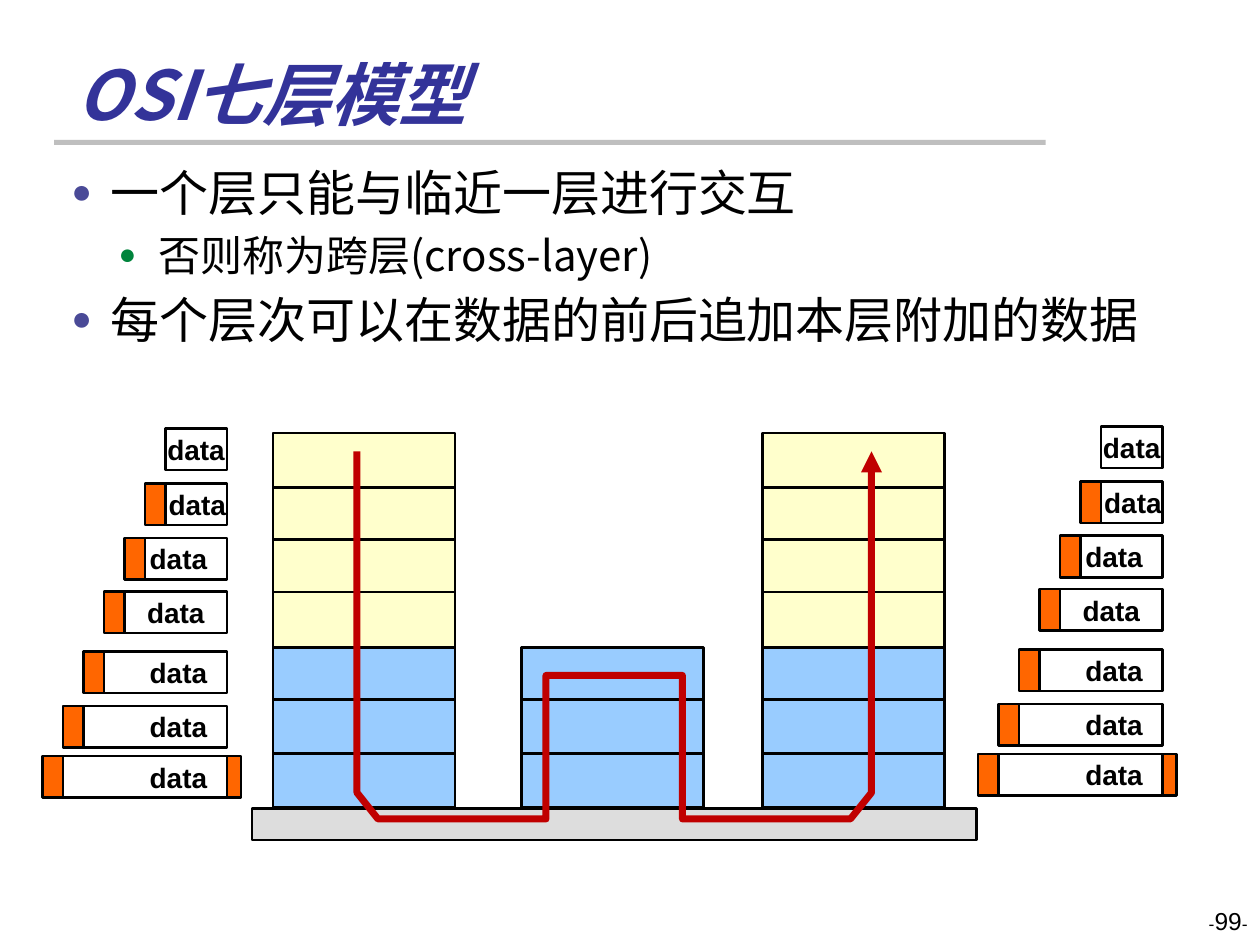
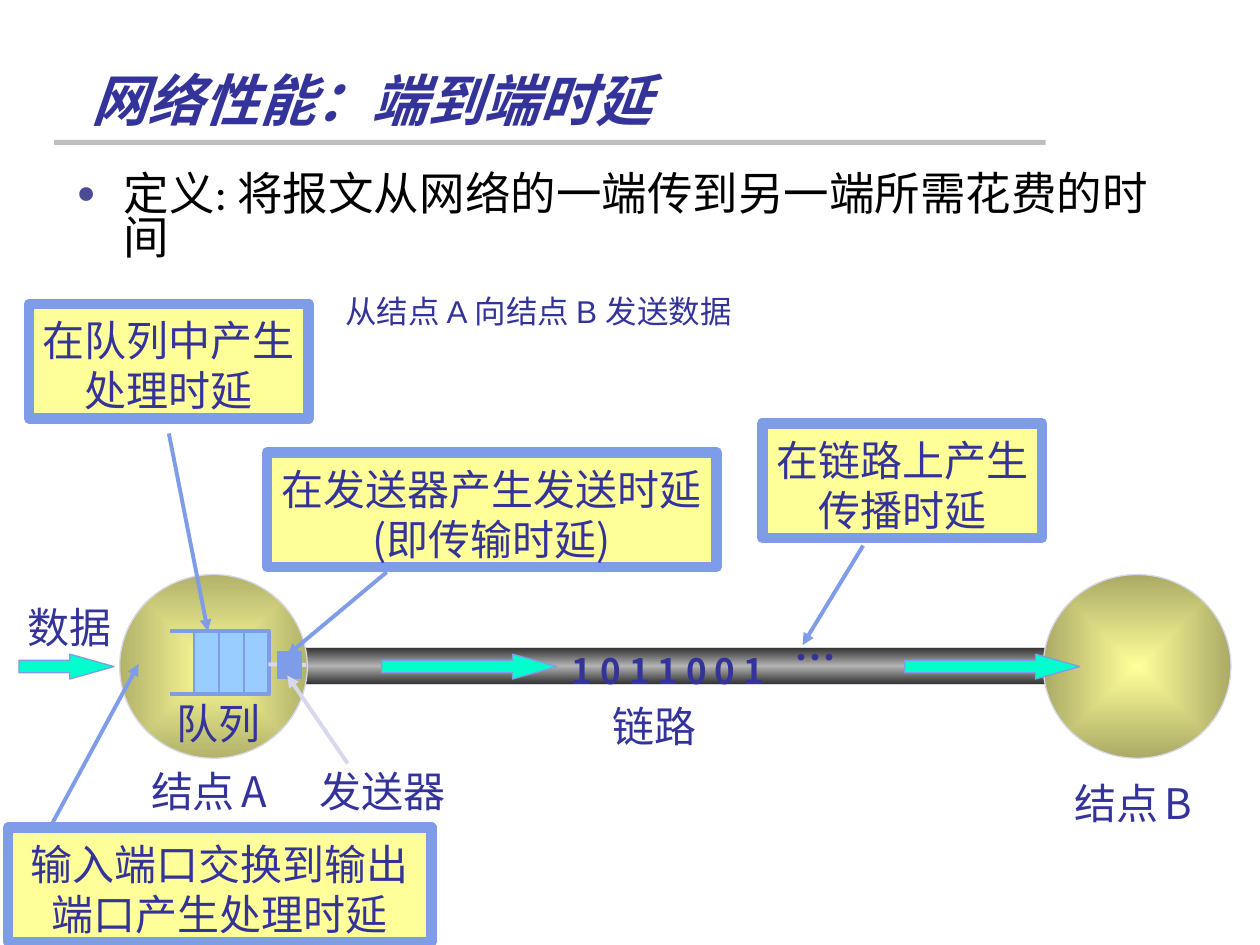
from dataclasses import dataclass
from itertools import chain
from typing import Optional

import pptx
import pptx.util
import pptx.dml.color
import pptx.enum.shapes
import pptx.enum.text
import pptx.oxml
import pptx.oxml.ns

Pt = pptx.util.Pt
SHAPE = pptx.enum.shapes.MSO_SHAPE
ALIGN = pptx.enum.text.PP_ALIGN
ANCHOR = pptx.enum.text.MSO_ANCHOR
NS = pptx.oxml.ns.nsdecls("a")


@dataclass(frozen=True)
class Theme:
    ink: str = "333399"
    black: str = "000000"
    rule: str = "BFBFBF"
    bullet: str = "4A4A97"
    sub_bullet: str = "00843C"
    upper_layer: str = "FFFFCC"
    lower_layer: str = "99CCFF"
    medium: str = "DDDDDD"
    header: str = "FF6600"
    route: str = "C00000"
    note: str = "FFFF99"
    edge: str = "7E9CE8"
    pale: str = "D8D8EC"
    flow: str = "00FFCC"
    cjk: str = "Noto Sans CJK SC"
    latin: str = "Arial"
    body_latin: str = "Calibri"
    label: float = 24
    small: float = 16
    leading: float = 1.2
    drop: float = 0.1  # lowers text with exact leading, in ems


T = Theme()


@dataclass(frozen=True)
class Box:
    x: float
    y: float
    w: float
    h: float

    def emu(self) -> list:
        return [Pt(v) for v in (self.x, self.y, self.w, self.h)]


@dataclass(frozen=True)
class Packet:
    """One data unit: top, frame width, left of its text, header and trailer."""
    y: float
    w: float
    text_x: float
    header: bool = True
    trailer: bool = False


@dataclass(frozen=True)
class Callout:
    box: Box
    lines: tuple
    start: tuple
    end: tuple


@dataclass(frozen=True)
class Label:
    x: float
    y: float
    w: float
    text: object
    size: float = T.label
    bold: bool = False
    font: str = T.cjk


def rgb(color: str):
    return pptx.dml.color.RGBColor.from_string(color)


def write(tf, paras, *, size=T.label, font=T.cjk, color=T.ink, bold=False,
          italic=False, align=None, leading: Optional[float] = T.leading,
          before=0.0, bullet=None, indent=0.0, hang=0.0):
    """Add paragraphs; each is a string or a list of (text, size) runs."""
    for para in paras:
        first = not tf.paragraphs[0].runs
        p = tf.paragraphs[0] if first else tf.add_paragraph()
        if bullet:
            pPr = p._p.get_or_add_pPr()
            pPr.set("marL", str(Pt(indent)))
            pPr.set("indent", str(-Pt(hang)))
            for xml in (f'<a:buClr {NS}><a:srgbClr val="{bullet}"/></a:buClr>',
                        f'<a:buSzPct {NS} val="70000"/>',
                        f'<a:buFont {NS} typeface="{T.latin}"/>',
                        f'<a:buChar {NS} char="●"/>'):
                pPr.append(pptx.oxml.parse_xml(xml))
        if align is not None:
            p.alignment = align
        if leading:
            p.line_spacing = Pt(size * leading)
        if before and not first:
            p.space_before = Pt(before)
        for text, run_size in ([(para, size)] if isinstance(para, str) else para):
            r = p.add_run()
            r.text = text
            f = r.font
            f.size, f.bold, f.italic, f.name = Pt(run_size), bold, italic, font
            f.color.rgb = rgb(color)
            r._r.get_or_add_rPr().append(
                pptx.oxml.parse_xml(f'<a:ea {NS} typeface="{T.cjk}"/>'))


def frame(tf, *, left=7.2, right=7.2, top=3.6, bottom=3.6, anchor=ANCHOR.TOP):
    tf.word_wrap = True
    tf.vertical_anchor = anchor
    tf.margin_left, tf.margin_right = Pt(left), Pt(right)
    tf.margin_top, tf.margin_bottom = Pt(top), Pt(bottom)
    return tf


def text_box(s, box: Box, paras, *, right=0.0, top=3.6, bottom=3.6,
             anchor=ANCHOR.TOP, **fmt):
    tf = s.shapes.add_textbox(*box.emu()).text_frame
    write(frame(tf, right=right, top=top, bottom=bottom, anchor=anchor), paras, **fmt)
    return tf


def outline(sp, color: Optional[str], width: float):
    if color:
        sp.line.color.rgb = rgb(color)
        sp.line.width = Pt(width)
    else:
        sp.line.fill.background()


def shape(s, box: Box, fill: Optional[str], line: Optional[str] = T.black,
          width=1.5, kind=SHAPE.RECTANGLE):
    sp = s.shapes.add_shape(kind, *box.emu())
    sp.shadow.inherit = False
    if fill:
        sp.fill.solid()
        sp.fill.fore_color.rgb = rgb(fill)
    else:
        sp.fill.background()
    outline(sp, line, width)
    return sp


def gradient(sp, stops, direction: str):
    """Replace the solid fill by colour stops spread evenly along direction."""
    gs = "".join(f'<a:gs pos="{100000 * i // (len(stops) - 1)}"><a:srgbClr val="{c}"/></a:gs>'
                 for i, c in enumerate(stops))
    solid = sp._element.spPr.find(pptx.oxml.ns.qn("a:solidFill"))
    solid.getparent().replace(solid, pptx.oxml.parse_xml(
        f'<a:gradFill {NS} rotWithShape="1"><a:gsLst>{gs}</a:gsLst>{direction}</a:gradFill>'))


def arrowhead(sp):
    sp.line._get_or_add_ln().append(pptx.oxml.parse_xml(f'<a:tailEnd {NS} type="triangle"/>'))


def connect(s, start, end, color=T.edge, width=2.25, arrow=False):
    ends = [Pt(v) for v in chain(start, end)]
    sp = s.shapes.add_connector(pptx.enum.shapes.MSO_CONNECTOR.STRAIGHT, *ends)
    sp._element.spPr.append(pptx.oxml.parse_xml(f"<a:effectLst {NS}/>"))
    outline(sp, color, width)
    if arrow:
        arrowhead(sp)


def polyline(s, points, color, width):
    pts = [(Pt(x), Pt(y)) for x, y in points]
    builder = s.shapes.build_freeform(*pts[0], scale=1.0)
    builder.add_line_segments(pts[1:], close=False)
    sp = builder.convert_to_shape()
    sp.shadow.inherit = False
    sp.fill.background()
    outline(sp, color, width)
    return sp


def titled_slide(prs, title: str, x: float, size: float, font: str):
    s = prs.slides.add_slide(prs.slide_layouts[6])
    shape(s, Box(31, 80, 566.6, 2.9), T.rule, None)
    text_box(s, Box(x, 20 + T.drop * size, 590, 56.3), [title], size=size, font=font,
             bold=True, italic=True, anchor=ANCHOR.BOTTOM)
    return s


def packets(s, dx: float, dy: float):
    right_edge, header_w, h = 129.8, 11.7, 23.8
    rows = [Packet(244.8, 35.3, 88.6, header=False), Packet(276.3, 35.3, 89.3),
            Packet(307.4, 47, 78.5), Packet(337.9, 58.7, 77), Packet(372.2, 70.4, 78.5),
            Packet(403.4, 82.1, 78.5), Packet(432, 93.8, 78.5, trailer=True)]
    for row in rows:
        x, y = right_edge - row.w + dx, row.y + dy
        text_box(s, Box(row.text_x + dx, y - 1.2, 47.5, 26.6), ["data"], size=T.small,
                 font=T.latin, color=T.black, bold=True, leading=None)
        shape(s, Box(x, y, row.w, h), None)
        if row.header:
            shape(s, Box(x - header_w, y, header_w, h), T.header)
        if row.trailer:
            shape(s, Box(x + row.w, y, 7.9, h), T.header)


def osi_slide(prs):
    s = titled_slide(prs, "OSI七层模型", 36.7, 39, T.cjk)
    tf = text_box(s, Box(33.8, 86.4 + T.drop * 28, 671.8, 138), ["一个层只能与临近一层进行交互"],
                  size=28, color=T.black, bullet=T.bullet, indent=22.5, hang=22.5)
    write(tf, ["否则称为跨层(cross-layer)"], size=24, color=T.black, before=4.8,
          bullet=T.sub_bullet, indent=49.5, hang=22.5)
    write(tf, ["每个层次可以在数据的前后追加本层附加的数据"], size=28, color=T.black,
          before=5.6, bullet=T.bullet, indent=22.5, hang=22.5)

    shape(s, Box(144, 462, 414, 18), T.medium)
    tops = [247.5, 278.6, 308.2, 338.4, 370.1, 399.8, 430.6, 461.5]
    for x, first in ((156, 0), (298, 4), (435.6, 0)):
        for i in range(first, 7):
            shape(s, Box(x, tops[i], 104, tops[i + 1] - tops[i]),
                  T.upper_layer if i < 4 else T.lower_layer)
    packets(s, 0, 0)
    route = [(204, 258), (204, 453), (216, 468), (312, 468), (312, 386),
             (390, 386), (390, 468), (486, 468), (498, 453), (498, 258)]
    arrowhead(polyline(s, route, T.route, 4))
    packets(s, 534.6, -1.2)
    text_box(s, Box(552, 514, 168, 25), [[("-", 10), ("99", 14), ("-", 10)]], right=7.2,
             size=14, font=T.latin, color=T.black, align=ALIGN.RIGHT, leading=None)


def delay_slide(prs):
    s = titled_slide(prs, "网络性能：端到端时延", 45.4, 32, T.body_latin)
    centre = '<a:path path="shape"><a:fillToRect l="50000" t="50000" r="50000" b="50000"/></a:path>'
    link = shape(s, Box(168.5, 370, 435, 21), T.rule, T.pale, 0.75)
    gradient(link, ["313131", "B2B2B2", "313131"], '<a:lin ang="5400000" scaled="0"/>')
    for x, rim in ((68.4, "B2B26B"), (596.2, "AAAA66")):
        node = shape(s, Box(x, 328.3, 107.2, 105), T.note, T.pale, 0.75, SHAPE.OVAL)
        gradient(node, [T.note, rim], centre)

    top, bottom, slot = 360.7, 396.7, 14.3
    shape(s, Box(110.9, top, 3 * slot, bottom - top), T.lower_layer, T.edge, 0.75)
    polyline(s, [(97.2, top), (154, top), (154, bottom), (97.2, bottom)], T.edge, 2.25)
    for i in range(3):
        x = 110.9 + i * slot
        connect(s, (x, top), (x, bottom), width=0.75)
    connect(s, (153.4, 379.6), (175, 380), T.pale)
    shape(s, Box(158.4, 372.5, 13.7, 15), T.edge, T.edge, 0.75)
    for x, w in ((218.2, 100), (10.8, 54.4), (517, 100)):
        sp = shape(s, Box(x, 373.8, w, 14.2), T.flow, T.edge, 0.75, SHAPE.RIGHT_ARROW)
        sp.adjustments[0], sp.adjustments[1] = 0.5, 1.78

    labels = [
        Label(319.7, 365.8, 140, "1 0 1 1 0 0 1", 20, True),
        Label(447.1, 355, 40, "…", bold=True),
        Label(175.7, 431.3, 90, "发送器"),
        Label(93.6, 392.4, 64, "队列"),
        Label(607, 438.5, 90, [("结点", 24), (" ", 16), ("B", 24)]),
        Label(79.2, 431.3, 90, [("结点", 24), (" ", 16), ("A", 24)]),
        Label(8.6, 337.7, 64, "数据"),
        Label(190.1, 161.3, 412, "从结点 A 向结点 B 发送数据", 18, font=T.latin),
        Label(342.7, 394.6, 64, "链路"),
    ]
    for b in labels:
        text_box(s, Box(b.x, b.y + T.drop * b.size, b.w, 36), [b.text],
                 size=b.size, bold=b.bold, font=b.font)

    callouts = [
        Callout(Box(435.6, 242, 160, 65.4), ("在链路上产生", "传播时延"),
                (493.2, 311.8), (458.6, 368.6)),
        Callout(Box(152.6, 258.6, 257, 65.4), ("在发送器产生发送时延", "(即传输时延)"),
                (221, 326.9), (164.2, 374.4)),
        Callout(Box(16.5, 173.7, 160, 65.4), ("在队列中产生", "处理时延"),
                (96.5, 247.7), (118.8, 360.7)),
        Callout(Box(4.5, 473, 242, 65.4), ("输入端口交换到输出端口产生处理时延",),
                (28.5, 473), (79.2, 379.4)),
    ]
    for c in callouts:
        sp = shape(s, c.box, T.note, T.edge, 6)
        tf = frame(sp.text_frame, left=3.6, right=3.6, top=3.6 + T.drop * T.label, bottom=0)
        write(tf, c.lines, align=ALIGN.CENTER)
        connect(s, c.start, c.end, arrow=True)
    connect(s, (198.7, 436.3), (164.2, 386), T.pale, arrow=True)

    text_box(s, Box(36.7, 94.3 + T.drop * 26, 648, 62.6),
             ["定义: 将报文从网络的一端传到另一端所需花费的时间"], right=7.2, size=26,
             font=T.body_latin, color=T.black, leading=0.96, bullet=T.bullet,
             indent=27, hang=27)


def main():
    prs = pptx.Presentation()
    prs.slide_width, prs.slide_height = Pt(720), Pt(540)
    osi_slide(prs)
    delay_slide(prs)
    prs.save("out.pptx")


if __name__ == "__main__":
    main()
